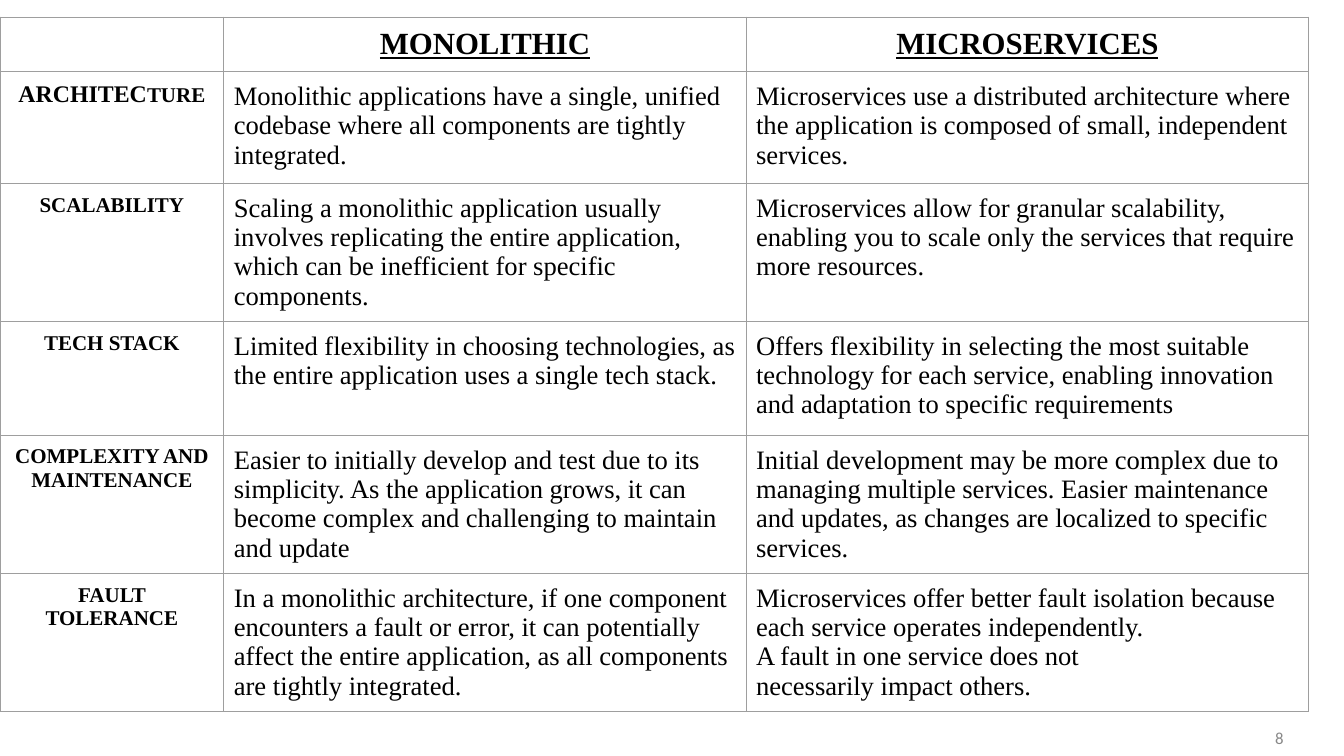
from pptx import Presentation, util as u
from pptx.dml.color import RGBColor
from pptx.enum import text
from pptx.oxml import parse_xml
from pptx.oxml.ns import nsdecls

BLACK = RGBColor(0x00, 0x00, 0x00)
GREY = RGBColor(0x88, 0x88, 0x88)
RULE = RGBColor(0x9E, 0x9E, 0x9E)
LEFT, CENTER, RIGHT = text.PP_ALIGN.LEFT, text.PP_ALIGN.CENTER, text.PP_ALIGN.RIGHT

COLS = [2.22, 5.18, 5.58]
ROWS = [0.53, 1.11, 1.37, 1.13, 1.37, 1.37]
TOP = 0.17
PAD = u.Inches(0.1)

HEADS = ["", "MONOLITHIC", "MICROSERVICES"]
BODY = [
    ["ARCHITECTURE",
     "Monolithic applications have a single, unified codebase where all components "
     "are tightly integrated.",
     "Microservices use a distributed architecture where the application is composed "
     "of small, independent services."],
    ["SCALABILITY",
     "Scaling a monolithic application usually involves replicating the entire "
     "application, which can be inefficient for specific components.",
     "Microservices allow for granular scalability, enabling you to scale only the "
     "services that require more resources."],
    ["TECH STACK",
     "Limited flexibility in choosing technologies, as the entire application uses a "
     "single tech stack.",
     "Offers flexibility in selecting the most suitable technology for each service, "
     "enabling innovation and adaptation to specific requirements"],
    ["COMPLEXITY AND MAINTENANCE",
     "Easier to initially develop and test due to its simplicity. As the application "
     "grows, it can become complex and challenging to maintain and update",
     "Initial development may be more complex due to managing multiple services. "
     "Easier maintenance and updates, as changes are localized to specific services."],
    ["FAULT TOLERANCE",
     "In a monolithic architecture, if one component encounters a fault or error, it "
     "can potentially affect the entire application, as all components are tightly "
     "integrated.",
     "Microservices offer better fault isolation because each service operates "
     "independently.\nA fault in one service does not\nnecessarily impact others."],
]


def write(p, words, size=19, bold=False, underline=False, align=LEFT,
          font="Times New Roman", color=BLACK):
    p.alignment = align
    r = p.add_run()
    r.text = words
    r.font.name, r.font.size = font, u.Pt(size)
    r.font.bold, r.font.underline = bold, underline
    r.font.color.rgb = color


prs = Presentation()
prs.slide_width, prs.slide_height = u.Inches(13.33), u.Inches(7.5)
s = prs.slides.add_slide(prs.slide_layouts[6])

# Comparison table
tbl = s.shapes.add_table(len(ROWS), len(COLS), 0, u.Inches(TOP),
                         u.Inches(sum(COLS)), u.Inches(sum(ROWS))).table
tbl.first_row = tbl.horz_banding = False
for col, width in zip(tbl.columns, COLS):
    col.width = u.Inches(width)
for row, height in zip(tbl.rows, ROWS):
    row.height = u.Inches(height)

for i, line in enumerate([HEADS] + BODY):
    for j, words in enumerate(line):
        cell = tbl.cell(i, j)
        cell.margin_left = cell.margin_right = PAD
        cell.margin_top = cell.margin_bottom = PAD

        # Thin rules on all four sides
        tcPr = cell._tc.get_or_add_tcPr()
        for side in ("lnL", "lnR", "lnT", "lnB"):
            tcPr.append(parse_xml(
                f'<a:{side} {nsdecls("a")} w="{u.Pt(0.75)}"><a:solidFill>'
                f'<a:srgbClr val="{RULE}"/></a:solidFill></a:{side}>'))
        cell.fill.background()

        # Headings, row labels and descriptions
        tf = cell.text_frame
        p = tf.paragraphs[0]
        if not words:
            p.font.size = u.Pt(19)
        elif i == 0:
            write(p, words, size=22, bold=True, underline=True, align=CENTER)
        elif words == "ARCHITECTURE":
            write(p, words[:8], size=17, bold=True, align=CENTER)
            write(p, words[8:], size=15, bold=True, align=CENTER)
        elif j == 0:
            write(p, words, size=15, bold=True, align=CENTER)
        else:
            for k, part in enumerate(words.split("\n")):
                write(tf.add_paragraph() if k else p, part)

# Page number
tf = s.shapes.add_textbox(u.Inches(9.72), u.Inches(7.12),
                          u.Inches(3.11), u.Inches(0.4)).text_frame
tf.word_wrap = True
tf.vertical_anchor = text.MSO_ANCHOR.MIDDLE
write(tf.paragraphs[0], "8", size=12, align=RIGHT, font="Calibri", color=GREY)

prs.save("out.pptx")
